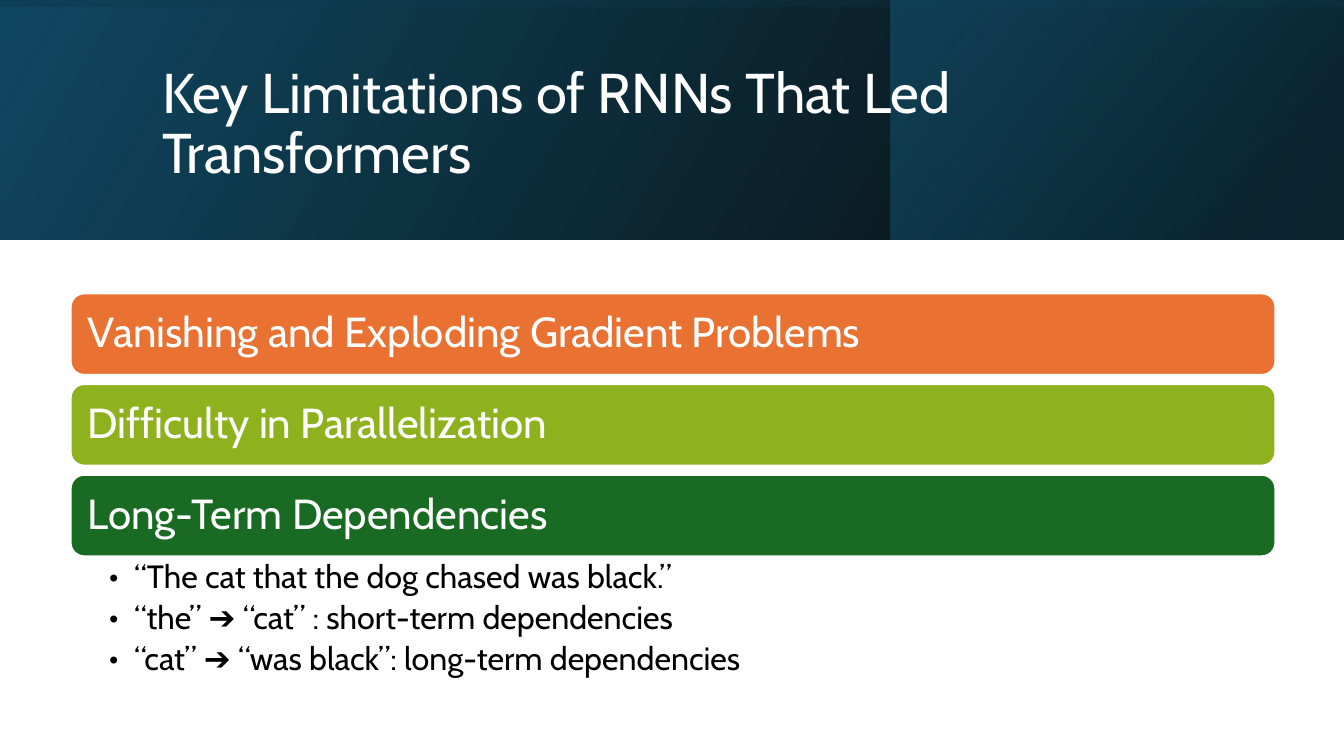
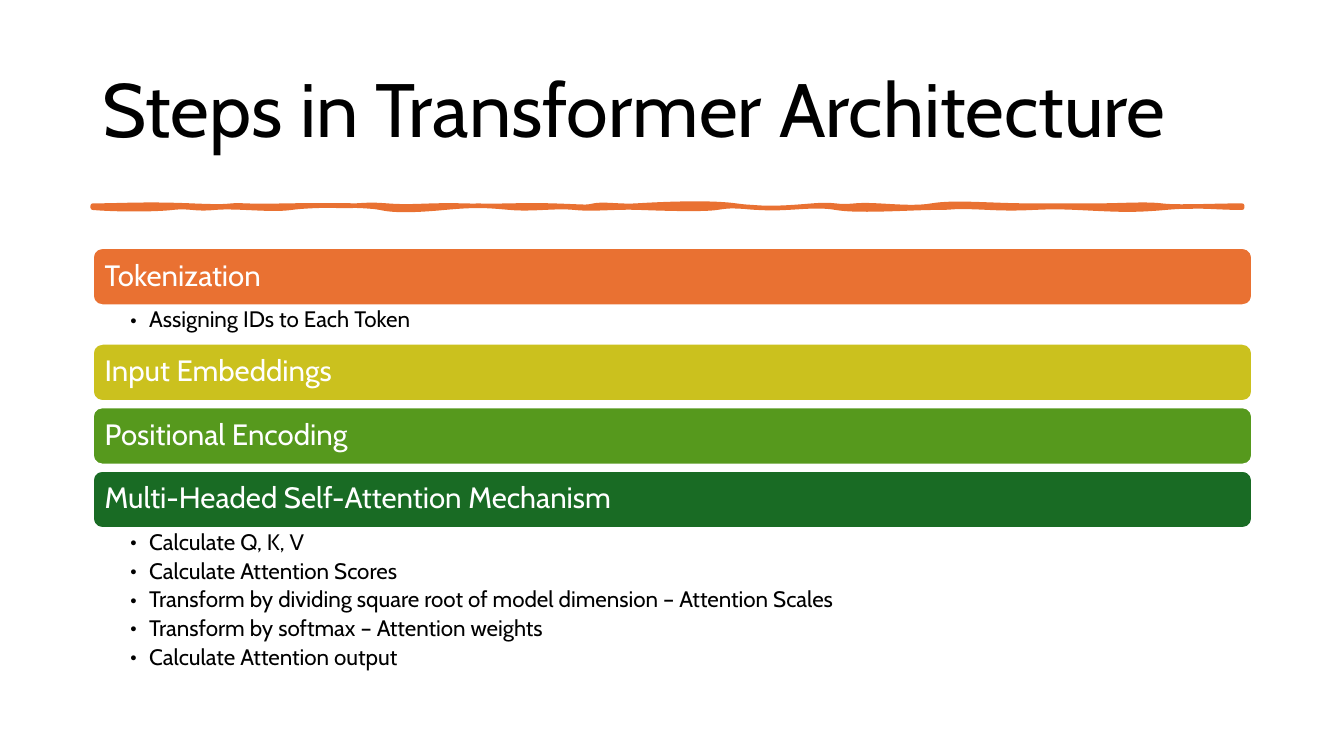
"""Build two slides on recurrent network limits and transformer steps."""
from lxml.etree import SubElement
from pptx import Presentation
from pptx.dml.color import RGBColor
from pptx.enum.shapes import MSO_SHAPE
from pptx.enum.text import MSO_ANCHOR, PP_ALIGN
from pptx.oxml.ns import qn
from pptx.util import Pt

PX = 9144
FONT = "Cabin"
WHITE = RGBColor(0xFF, 0xFF, 0xFF)
BLACK = RGBColor(0x00, 0x00, 0x00)
NAVY = RGBColor(0x10, 0x48, 0x62)
DEEP_TEAL = RGBColor(0x0B, 0x30, 0x41)
TEAL = RGBColor(0x15, 0x60, 0x82)
ORANGE = RGBColor(0xE9, 0x71, 0x32)
LIME = RGBColor(0x8E, 0xB2, 0x1E)
MUSTARD = RGBColor(0xCB, 0xC1, 0x1E)
LEAF = RGBColor(0x56, 0x99, 0x1D)
FOREST = RGBColor(0x19, 0x6B, 0x24)

BANDS = [
    {"at": (0, 0, 1333, 238), "rotation": 0, "angle": 330,
     "stops": [(0, BLACK, 96), (100, NAVY, 100)]},
    {"at": (883, 0, 450, 238), "rotation": 0, "angle": 320,
     "stops": [(19, DEEP_TEAL, 68), (100, TEAL, 48)]},
    {"at": (548, -548, 238, 1333), "rotation": 270, "angle": 350,
     "stops": [(23, NAVY, 16), (99, BLACK, 45)]},
]

LIMITATIONS = {
    "title": "Key Limitations of RNNs That Led Transformers",
    "title_at": (151, 38, 1063, 173), "title_size": 40, "title_color": WHITE,
    "left": 70, "top": 291, "width": 1195, "bar_height": 81, "gap": 9,
    "bar_size": 30, "bar_inset": 13,
    "list_size": 23, "list_insets": (38, 4, 23, 4), "hang": 25,
    "bars": [
        ("Vanishing and Exploding Gradient Problems", ORANGE, 0, []),
        ("Difficulty in Parallelization", LIME, 0, []),
        ("Long-Term Dependencies", FOREST, 132, [
            "“The cat that the dog chased was black.”",
            "“the” ➔ “cat” : short-term dependencies",
            "“cat” ➔ “was black”: long-term dependencies",
        ]),
    ],
}

STEPS = {
    "title": "Steps in Transformer Architecture",
    "title_at": (92, 40, 1150, 145), "title_size": 54, "title_color": BLACK,
    "left": 92, "top": 246, "width": 1150, "bar_height": 57, "gap": 6,
    "bar_size": 21, "bar_inset": 9,
    "list_size": 16, "list_insets": (37, 3, 16, 3), "hang": 19,
    "bars": [
        ("Tokenization", ORANGE, 38, ["Assigning IDs to Each Token"]),
        ("Input Embeddings", MUSTARD, 0, []),
        ("Positional Encoding", LEAF, 0, []),
        ("Multi-Headed Self-Attention Mechanism", FOREST, 150, [
            "Calculate Q, K, V",
            "Calculate Attention Scores",
            "Transform by dividing square root of model dimension – Attention Scales",
            "Transform by softmax – Attention weights",
            "Calculate Attention output",
        ]),
    ],
}

RULE_LEFT, RULE_TOP, RULE_BOTTOM = 92, 204, 206
RULE_EDGES = [
    (RULE_TOP, [
        (119, 204, 144, 202, 190), (237, 206, 220, 203, 244), (267, 205, 303, 203, 331),
        (360, 205, 359, 202, 384), (410, 206, 423, 203, 460), (498, 205, 514, 203, 548),
        (581, 205, 581, 206, 589), (598, 202, 615, 205, 631), (647, 203, 701, 200, 730),
        (759, 208, 781, 206, 806), (831, 202, 827, 206, 848), (868, 202, 901, 208, 924),
        (947, 200, 982, 204, 1023), (1063, 204, 1063, 204, 1087),
        (1112, 204, 1136, 202, 1152), (1168, 206, 1203, 204, 1232),
    ]),
    (RULE_BOTTOM, [
        (1232, 205, 1232, 205, 1232),
        (1205, 206, 1189, 203, 1156), (1122, 209, 1110, 208, 1068),
        (1027, 204, 1023, 208, 981), (939, 204, 952, 206, 928), (904, 206, 851, 210, 829),
        (806, 202, 782, 208, 753), (724, 204, 725, 204, 711), (698, 208, 661, 207, 635),
        (609, 205, 590, 208, 570), (551, 204, 528, 208, 506), (483, 204, 473, 203, 441),
        (409, 209, 390, 209, 377), (363, 203, 310, 203, 289), (268, 209, 235, 204, 213),
        (192, 208, 189, 204, 171), (154, 208, 114, 208, 92),
    ]),
]


def scaled(lengths):
    return [length * PX for length in lengths]


def apply(target, values):
    for name, value in values.items():
        setattr(target, name, value)


def write(para, text, size, color):
    para.alignment = PP_ALIGN.LEFT
    para.line_spacing = 0.9
    span = para.add_run()
    span.text = text
    apply(span.font, {"name": FONT, "size": Pt(size)})
    span.font.color.rgb = color


def set_frame(shape, insets, anchor):
    frame = shape.text_frame
    sides = ("margin_left", "margin_top", "margin_right", "margin_bottom")
    apply(frame, {"word_wrap": True, "vertical_anchor": anchor})
    apply(frame, dict(zip(sides, scaled(insets))))
    return frame


def paint(shape, fill, line, line_width):
    shape.shadow.inherit = False
    shape.fill.solid()
    shape.fill.fore_color.rgb = fill
    shape.line.color.rgb = line
    shape.line.width = Pt(line_width)


def add_title(page, slide):
    box = page.shapes.add_textbox(*scaled(slide["title_at"]))
    frame = set_frame(box, (10, 5, 10, 5), MSO_ANCHOR.MIDDLE)
    write(frame.paragraphs[0], slide["title"], slide["title_size"], slide["title_color"])


def add_band(page, band):
    shape = page.shapes.add_shape(MSO_SHAPE.RECTANGLE, *scaled(band["at"]))
    shape.shadow.inherit = False
    shape.rotation = band["rotation"]
    shape.line.fill.background()
    shape.fill.gradient()
    properties = shape._element.spPr
    properties.find(qn("a:xfrm")).set("flipH", "1")
    gradient = properties.find(qn("a:gradFill"))
    for child in list(gradient):
        gradient.remove(child)
    stops = SubElement(gradient, qn("a:gsLst"))
    for position, color, opacity in band["stops"]:
        stop = SubElement(stops, qn("a:gs"), pos=str(position * 1000))
        tint = SubElement(stop, qn("a:srgbClr"), val=str(color))
        SubElement(tint, qn("a:alpha"), val=str(opacity * 1000))
    SubElement(gradient, qn("a:lin"), ang=str(band["angle"] * 60000), scaled="0")


def add_bar(page, slide, top, text, color):
    place = (slide["left"], top, slide["width"], slide["bar_height"])
    bar = page.shapes.add_shape(MSO_SHAPE.ROUNDED_RECTANGLE, *scaled(place))
    paint(bar, color, WHITE, 1.5)
    frame = set_frame(bar, [slide["bar_inset"]] * 4, MSO_ANCHOR.MIDDLE)
    write(frame.paragraphs[0], text, slide["bar_size"], WHITE)


def add_list(page, slide, top, height, items):
    box = page.shapes.add_textbox(*scaled((slide["left"], top, slide["width"], height)))
    frame = set_frame(box, slide["list_insets"], MSO_ANCHOR.TOP)
    hang = slide["hang"] * PX
    for index, item in enumerate(items):
        para = frame.add_paragraph() if index else frame.paragraphs[0]
        properties = para._p.get_or_add_pPr()
        properties.set("marL", str(hang))
        properties.set("indent", str(-hang))
        SubElement(properties, qn("a:buFont"), typeface=FONT)
        SubElement(properties, qn("a:buChar"), char="•")
        para.space_after = Pt(round(slide["list_size"] * 0.2, 1))
        write(para, item, slide["list_size"], BLACK)


def add_bars(page, slide):
    top = slide["top"]
    for text, color, list_height, items in slide["bars"]:
        add_bar(page, slide, top, text, color)
        top += slide["bar_height"]
        if items:
            add_list(page, slide, top, list_height, items)
        top += list_height or slide["gap"]


def add_wavy_rule(page):
    curves = [((x1, y1), (x2, y2), (x, base))
              for base, edge in RULE_EDGES for x1, y1, x2, y2, x in edge]
    builder = page.shapes.build_freeform(RULE_LEFT, RULE_TOP, scale=PX)
    builder.add_line_segments([curve[-1] for curve in curves], close=True)
    rule = builder.convert_to_shape()
    paint(rule, ORANGE, ORANGE, 3.25)
    segments = list(rule._element.iter(qn("a:lnTo")))
    for segment, curve in zip(segments, curves):
        outline = segment.getparent()
        bezier = outline.makeelement(qn("a:cubicBezTo"))
        for x, y in curve:
            SubElement(bezier, qn("a:pt"), x=str(x - RULE_LEFT), y=str(y - RULE_TOP))
        outline.replace(segment, bezier)


def main():
    deck = Presentation()
    apply(deck, {"slide_width": 1333 * PX, "slide_height": 750 * PX})
    blank = deck.slide_layouts[6]

    page = deck.slides.add_slide(blank)
    for band in BANDS:
        add_band(page, band)
    add_title(page, LIMITATIONS)
    add_bars(page, LIMITATIONS)

    page = deck.slides.add_slide(blank)
    add_title(page, STEPS)
    add_wavy_rule(page)
    add_bars(page, STEPS)

    deck.save("out.pptx")


if __name__ == "__main__":
    main()
